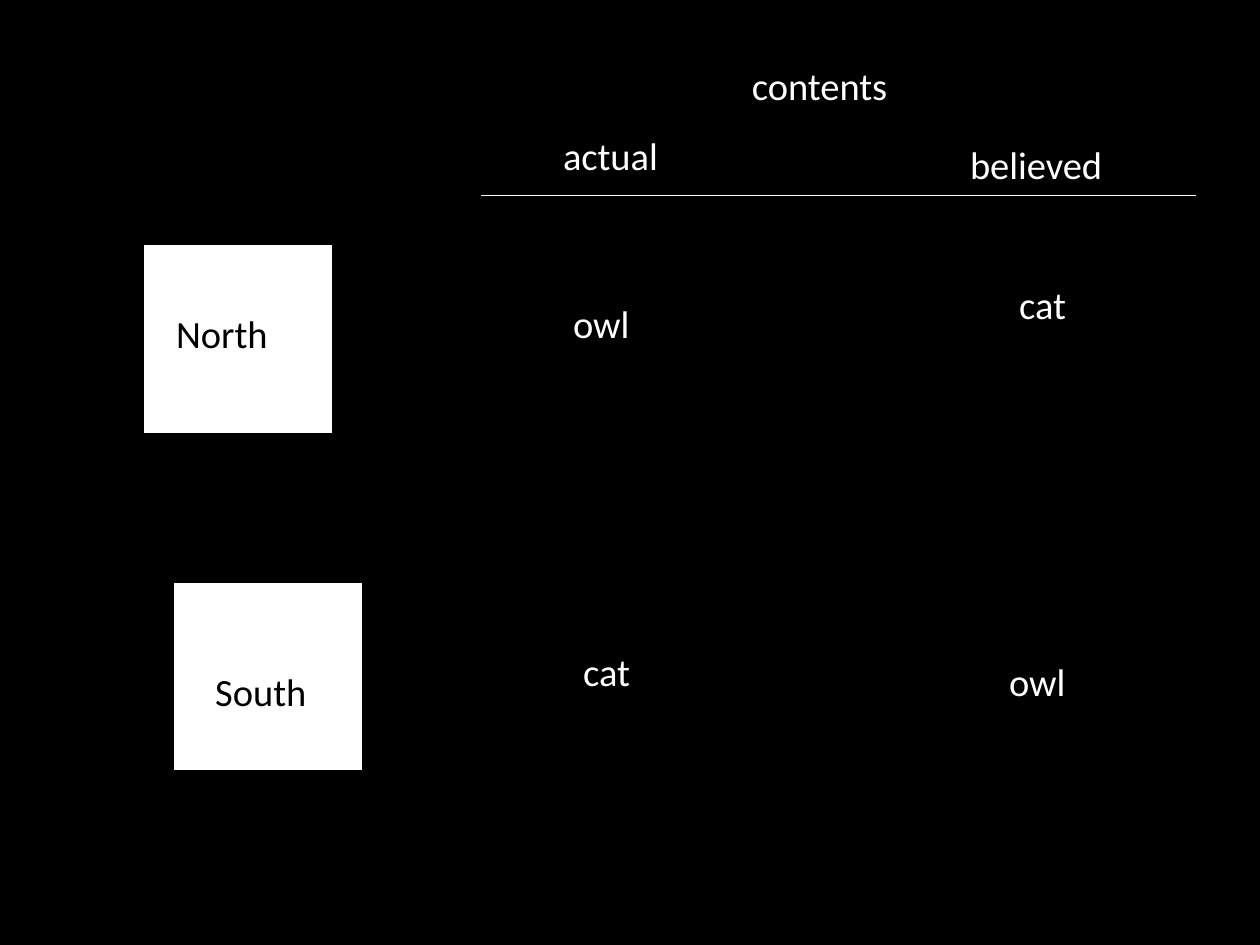
from pptx import Presentation
from pptx.dml.color import RGBColor
from pptx.enum.shapes import MSO_CONNECTOR, MSO_SHAPE
from pptx.enum.text import MSO_AUTO_SIZE
from pptx.oxml.ns import qn
from pptx.util import Inches, Pt
from lxml import etree

BLACK = RGBColor(0x00, 0x00, 0x00)
WHITE = RGBColor(0xFF, 0xFF, 0xFF)
RECTANGLE = MSO_SHAPE.RECTANGLE
STRAIGHT = MSO_CONNECTOR.STRAIGHT
FIT_TEXT = MSO_AUTO_SIZE.SHAPE_TO_FIT_TEXT
BOX_SIDE = 1.5
LABEL_HEIGHT = 0.47

deck = Presentation()
deck.slide_width = Inches(10)
deck.slide_height = Inches(7.5)
blank_layout = deck.slide_layouts[6]
slide = deck.slides.add_slide(blank_layout)
slide.background.fill.solid()
slide.background.fill.fore_color.rgb = BLACK

# The two boxes
for left, top in [(1.14, 1.94), (1.38, 4.62)]:
    box = slide.shapes.add_shape(
        RECTANGLE, Inches(left), Inches(top), Inches(BOX_SIDE), Inches(BOX_SIDE))
    box.shadow.inherit = False
    box.fill.solid()
    box.fill.fore_color.rgb = WHITE
    box.line.color.rgb = BLACK
    box.line.width = Pt(0.75)

# Labels: column headings, then each box's name and its contents
labels = [
    ("contents", 5.87, 0.44, 1.37, WHITE),
    ("actual", 4.37, 1.00, 1.01, WHITE),
    ("believed", 7.60, 1.07, 1.35, WHITE),
    ("North", 1.30, 2.41, 0.98, BLACK),
    ("owl", 4.45, 2.33, 0.68, WHITE),
    ("cat", 7.99, 2.18, 0.60, WHITE),
    ("South", 1.61, 5.25, 0.99, BLACK),
    ("cat", 4.53, 5.09, 0.60, WHITE),
    ("owl", 7.91, 5.17, 0.68, WHITE),
]
for text, left, top, width, color in labels:
    label = slide.shapes.add_textbox(
        Inches(left), Inches(top), Inches(width), Inches(LABEL_HEIGHT))
    frame = label.text_frame
    frame.word_wrap = False
    frame.auto_size = FIT_TEXT
    span = frame.paragraphs[0].add_run()
    span.text = text
    span.font.name = "Calibri"
    span.font.size = Pt(22)
    span.font.color.rgb = color

# Rule under the headings
rule = slide.shapes.add_connector(
    STRAIGHT, Inches(3.82), Inches(1.55), Inches(9.49), Inches(1.55))
rule.line.color.rgb = WHITE
rule.line.width = Pt(0.75)
etree.SubElement(rule._element.spPr, qn("a:effectLst"))

deck.save("out.pptx")
